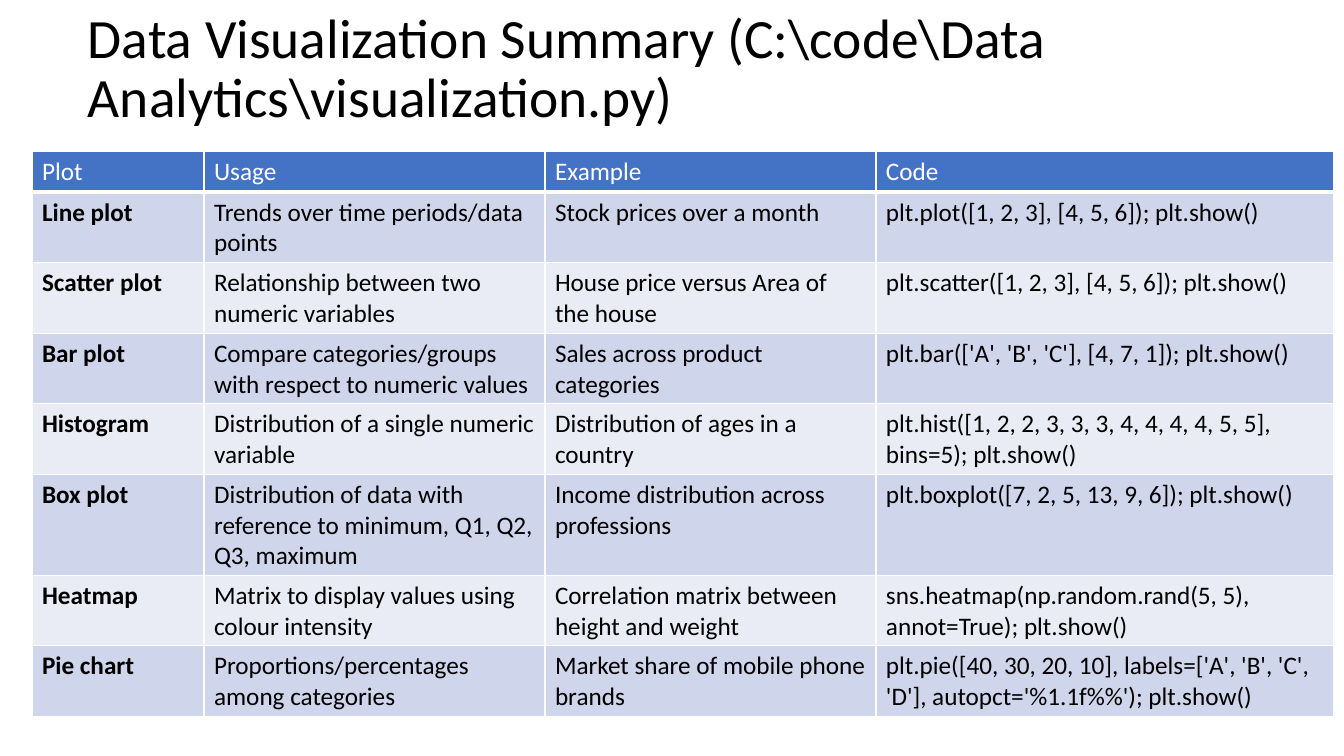
from lxml import etree
from pptx import Presentation
from pptx.dml.color import RGBColor
from pptx.enum.text import MSO_ANCHOR
from pptx.oxml.ns import qn
from pptx.util import Pt

PX = 914400 / 100.8
MIDDLE = MSO_ANCHOR.MIDDLE
FONT = "Calibri"
BLACK = RGBColor(0x00, 0x00, 0x00)
WHITE = RGBColor(0xFF, 0xFF, 0xFF)
HEADER_BLUE = RGBColor(0x44, 0x72, 0xC4)
BANDS = [RGBColor(0xE9, 0xEB, 0xF5), RGBColor(0xCF, 0xD5, 0xEA)]

COL_WIDTHS = [172, 341, 331, 458]
ROW_HEIGHT = 41
ROWS = [
    ["Plot", "Usage", "Example", "Code"],
    ["Line plot", "Trends over time periods/data points",
     "Stock prices over a month",
     "plt.plot([1, 2, 3], [4, 5, 6]); plt.show()"],
    ["Scatter plot", "Relationship between two numeric variables",
     "House price versus Area of the house",
     "plt.scatter([1, 2, 3], [4, 5, 6]); plt.show()"],
    ["Bar plot", "Compare categories/groups with respect to numeric values",
     "Sales across product categories",
     "plt.bar(['A', 'B', 'C'], [4, 7, 1]); plt.show()"],
    ["Histogram", "Distribution of a single numeric variable",
     "Distribution of ages in a country",
     "plt.hist([1, 2, 2, 3, 3, 3, 4, 4, 4, 4, 5, 5], bins=5); plt.show()"],
    ["Box plot", "Distribution of data with reference to minimum, Q1, Q2, Q3, maximum",
     "Income distribution across professions",
     "plt.boxplot([7, 2, 5, 13, 9, 6]); plt.show()"],
    ["Heatmap", "Matrix to display values using colour intensity",
     "Correlation matrix between height and weight",
     "sns.heatmap(np.random.rand(5, 5), annot=True); plt.show()"],
    ["Pie chart", "Proportions/percentages among categories",
     "Market share of mobile phone brands",
     "plt.pie([40, 30, 20, 10], labels=['A', 'B', 'C', 'D'], autopct='%1.1f%%'); plt.show()"],
]


def px(n):
    return round(n * PX)


def add_run(p, text, size, color, bold=False):
    r = p.add_run()
    r.text = text
    r.font.name = FONT
    r.font.size = Pt(size)
    r.font.color.rgb = color
    r.font.bold = bold


prs = Presentation()
prs.slide_width = px(1344)
prs.slide_height = px(756)
s = prs.slides.add_slide(prs.slide_layouts[6])

title = s.shapes.add_textbox(px(78), px(14), px(1159), px(112))
tf = title.text_frame
tf.word_wrap = True
tf.vertical_anchor = MIDDLE
p = tf.paragraphs[0]
p.line_spacing = 0.9
add_run(p, r"Data Visualization Summary (C:\code\Data Analytics\visualization.py)", 39.6, BLACK)

table = s.shapes.add_table(len(ROWS), len(COL_WIDTHS), px(32), px(151),
                           px(sum(COL_WIDTHS)), px(ROW_HEIGHT * len(ROWS))).table
table.first_row = False
table.horz_banding = False
for col, width in zip(table.columns, COL_WIDTHS):
    col.width = px(width)

for i, texts in enumerate(ROWS):
    table.rows[i].height = px(ROW_HEIGHT)
    header = i == 0
    for j, text in enumerate(texts):
        cell = table.cell(i, j)
        add_run(cell.text_frame.paragraphs[0], text, 18,
                WHITE if header else BLACK, bold=j == 0 and not header)
        tcPr = cell._tc.get_or_add_tcPr()
        for side in ("lnL", "lnR", "lnT", "lnB"):
            width = 3 if header and side == "lnB" else 1
            ln = etree.SubElement(tcPr, qn("a:" + side), w=str(Pt(width)))
            fill = etree.SubElement(ln, qn("a:solidFill"))
            etree.SubElement(fill, qn("a:srgbClr"), val=str(WHITE))
        cell.fill.solid()
        cell.fill.fore_color.rgb = HEADER_BLUE if header else BANDS[i % 2]

prs.save("out.pptx")
